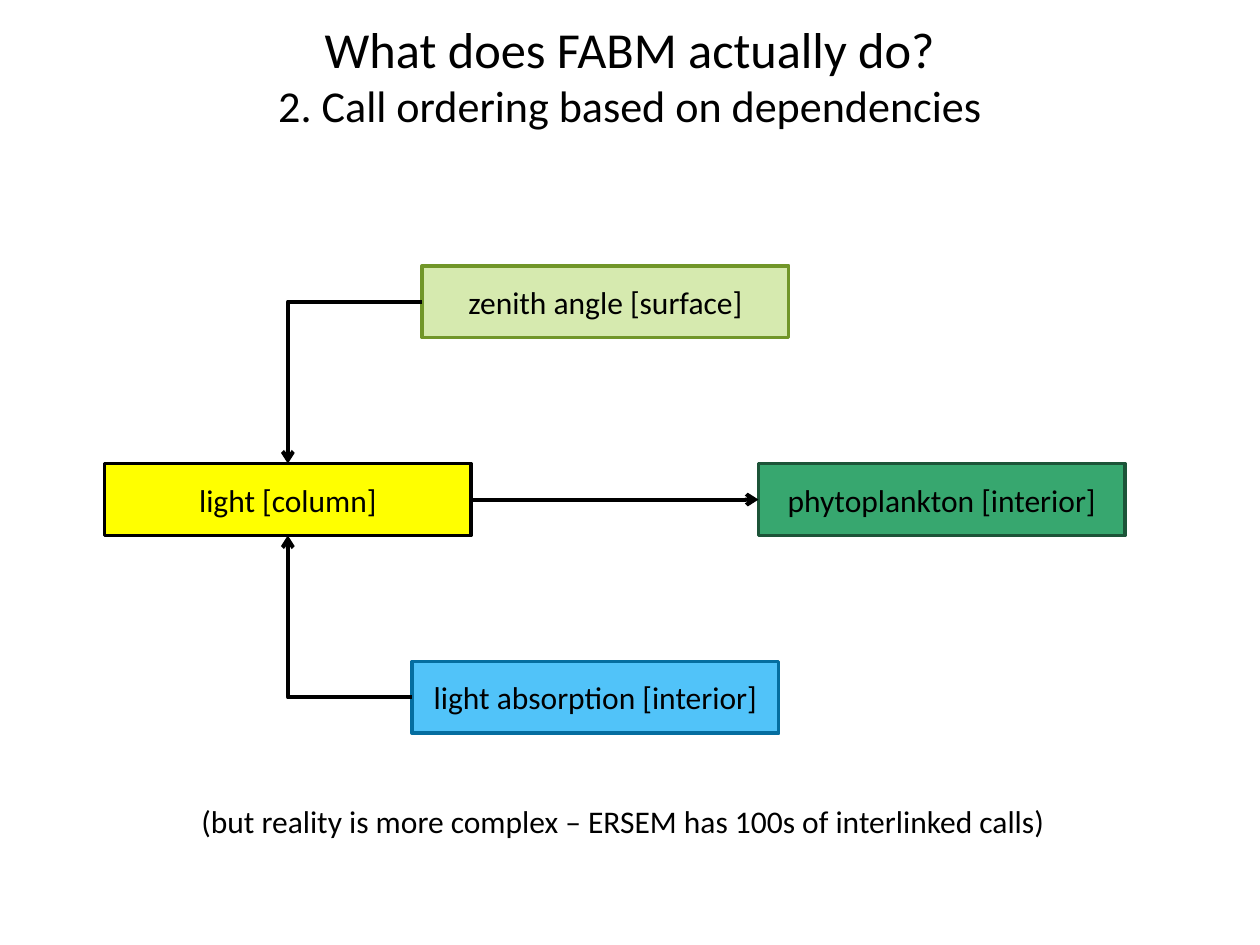
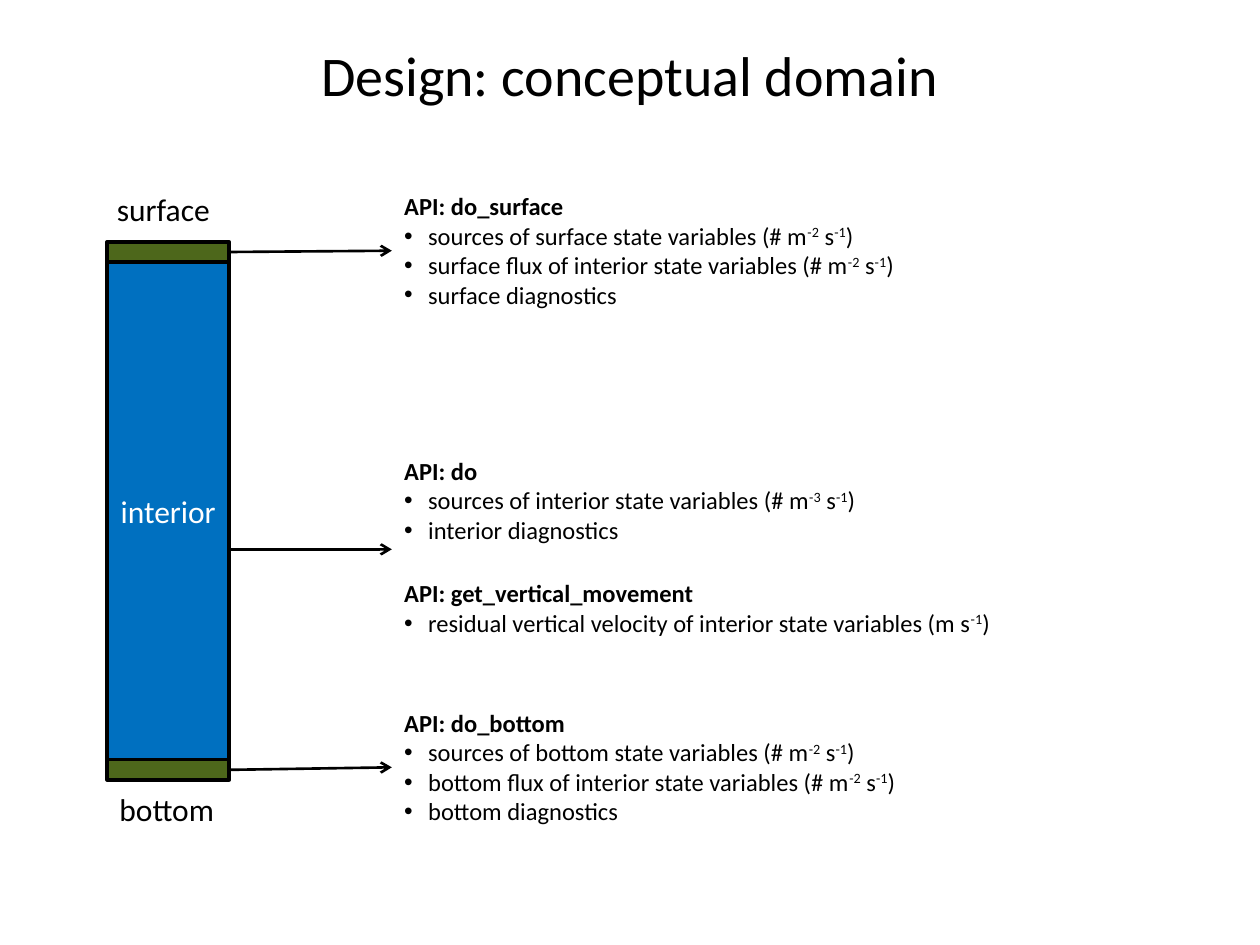
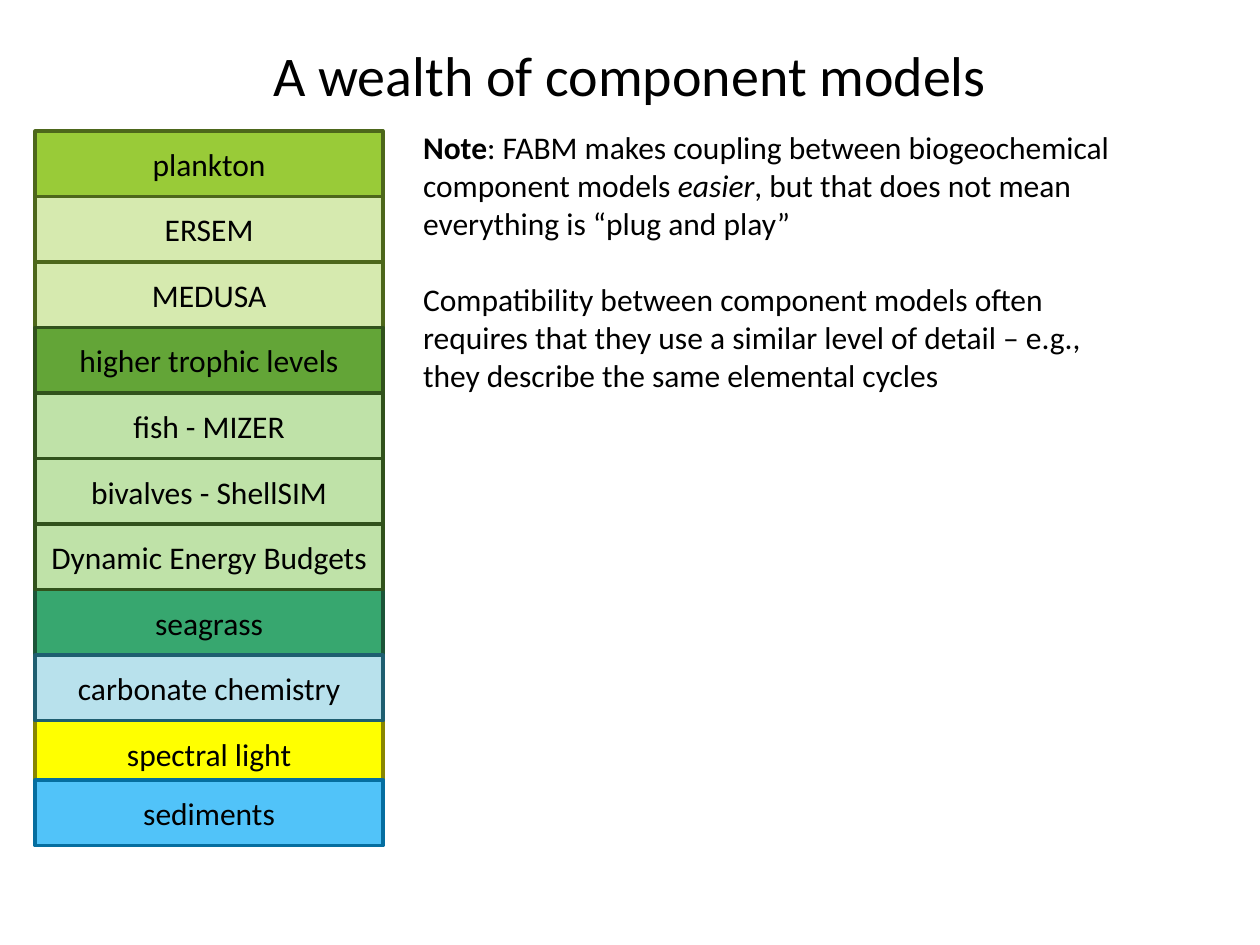
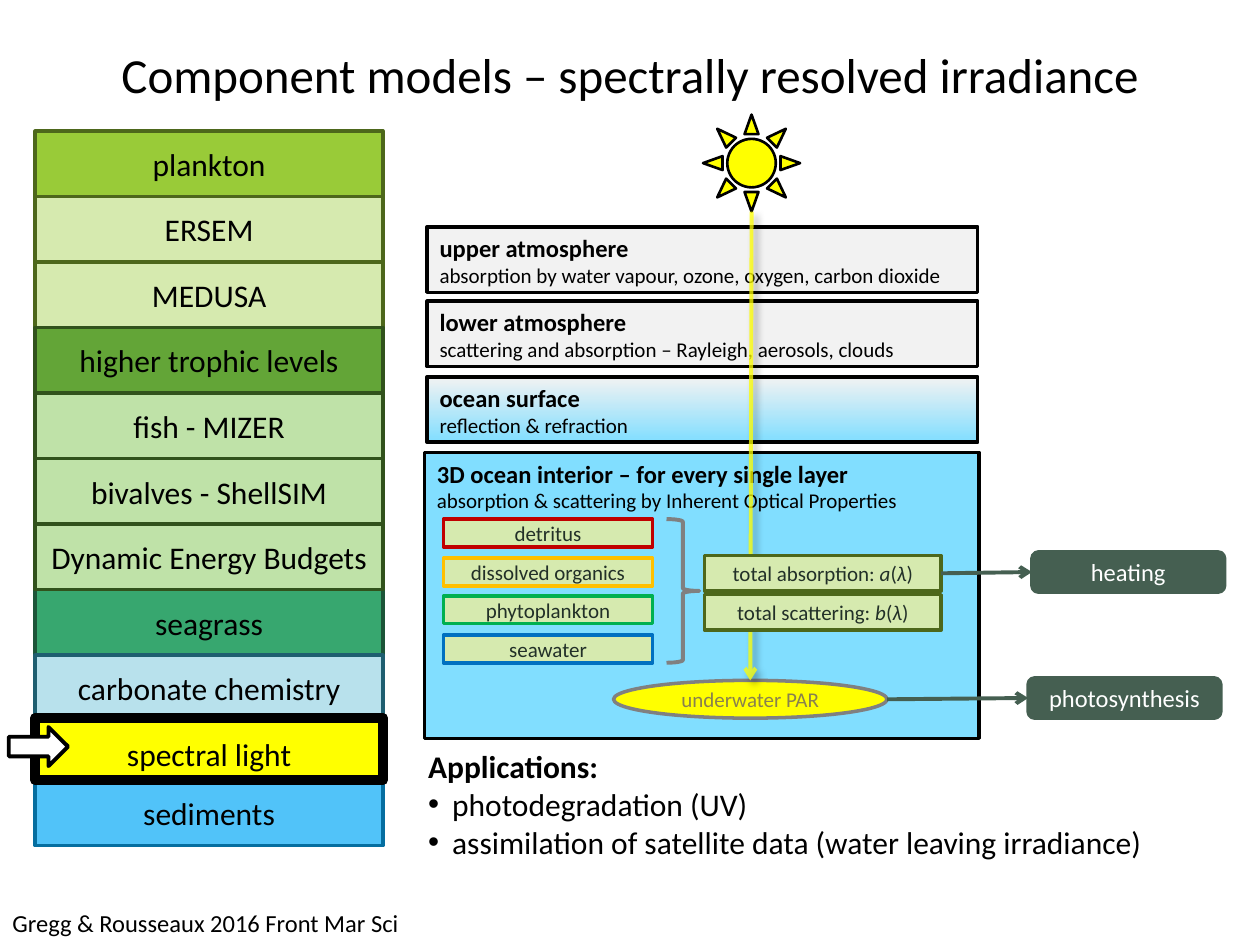
from collections import namedtuple

from lxml import etree
from pptx import Presentation
from pptx.dml.color import RGBColor
from pptx.enum.shapes import MSO_CONNECTOR, MSO_SHAPE
from pptx.enum.text import MSO_ANCHOR, MSO_AUTO_SIZE, PP_ALIGN
from pptx.oxml import parse_xml
from pptx.oxml.ns import nsdecls, qn
from pptx.util import Emu, Pt

PX = 9144  # EMU in one px: 100 px to the inch
FONT = "Calibri"
TITLE_ONLY = 5

RECT, OVAL, ROUND = MSO_SHAPE.RECTANGLE, MSO_SHAPE.OVAL, MSO_SHAPE.ROUNDED_RECTANGLE
SUN, BRACE, ARROW = MSO_SHAPE.SUN, MSO_SHAPE.RIGHT_BRACE, MSO_SHAPE.RIGHT_ARROW
STRAIGHT, ELBOW = MSO_CONNECTOR.STRAIGHT, MSO_CONNECTOR.ELBOW
LEFT, CENTER = PP_ALIGN.LEFT, PP_ALIGN.CENTER
ANCHOR_TOP, ANCHOR_MIDDLE = MSO_ANCHOR.TOP, MSO_ANCHOR.MIDDLE
SIDE_TOP, SIDE_LEFT, SIDE_BOTTOM, SIDE_RIGHT = range(4)

COLORS = {
    "black": "000000", "white": "FFFFFF", "gray": "808080", "pale gray": "F2F2F2",
    "ink": "223028", "olive text": "89814E", "slate": "455F51",
    "lime": "99CB38", "pale lime": "D6EAAF", "mid lime": "719629", "dark lime": "4D671B",
    "green": "63A537", "pale green": "BFE2A8", "dark green": "31521C",
    "sea green": "37A76F", "dark sea green": "1C5438",
    "pale teal": "B8E1EC", "dark teal": "1E5E70",
    "yellow": "FFFF00", "dark yellow": "898600",
    "sky": "51C3F9", "dark sky": "056EA0", "water": "81DEFF", "blue": "0070C0",
    "red": "C00000", "amber": "FFC000", "bright green": "00B050",
}

# Rows of the model list in drawing order: label, row, fill, line
MODELS = [
    ("plankton", 0, "lime", "dark lime"),
    ("ERSEM", 1, "pale lime", "dark lime"),
    ("MEDUSA", 2, "pale lime", "dark lime"),
    ("higher trophic levels", 3, "green", "dark green"),
    ("spectral light", 9, "yellow", "dark yellow"),
    ("sediments", 10, "sky", "dark sky"),
    ("seagrass", 7, "sea green", "dark sea green"),
    ("fish - MIZER", 4, "pale green", "dark green"),
    ("bivalves - ShellSIM", 5, "pale green", "dark green"),
    ("carbonate chemistry", 8, "pale teal", "dark teal"),
    ("Dynamic Energy Budgets", 6, "pale green", "dark green"),
]
ROW_HEIGHT = 52
LAST_ROW_OVERLAP = 5


class Box(namedtuple("Box", "left top width height")):
    """A rectangle in px."""

    def inner(self, x, y, width, height):
        return Box(self.left + x, self.top + y, width, height)

    def emu(self):
        return [Emu(value * PX) for value in self]


MODEL_LIST = Box(28, 104, 276, 567)


# ---------- text ----------

SUPER = {"super": True}
ITALIC = {"italic": True}


def rgb(name):
    return RGBColor.from_string(COLORS[name])


def para(*runs, **options):
    """A paragraph: runs are strings or (string, format) pairs."""
    return runs, options


def bullet(*runs):
    return para(*runs, bullet=True)


def rate(text, power):
    """A bullet that ends in a unit per area or volume and second."""
    return bullet(f"{text} (# m", (power, SUPER), " s", ("-1", SUPER), ")")


def add_bullet(paragraph):
    properties = paragraph._p.get_or_add_pPr()
    properties.set("marL", str(19 * PX))
    properties.set("indent", str(-19 * PX))
    etree.SubElement(properties, qn("a:buFont")).set("typeface", "Arial")
    etree.SubElement(properties, qn("a:buChar")).set("char", "•")


def write(shape, paragraphs, size=18, color="black", align=LEFT,
          anchor=ANCHOR_TOP, wrap=True, grow=False):
    if isinstance(paragraphs, str):
        paragraphs = [para(paragraphs)]
    frame = shape.text_frame
    frame.word_wrap = wrap
    frame.auto_size = MSO_AUTO_SIZE.SHAPE_TO_FIT_TEXT if grow else MSO_AUTO_SIZE.NONE
    frame.vertical_anchor = anchor
    for index, (runs, options) in enumerate(paragraphs):
        paragraph = frame.add_paragraph() if index else frame.paragraphs[0]
        paragraph.alignment = align
        if "before" in options:
            paragraph.space_before = Pt(options["before"])
        if options.get("bullet"):
            add_bullet(paragraph)
        for item in runs:
            text, extra = (item, {}) if isinstance(item, str) else item
            look = {**options, **extra}
            if look.get("new_line"):
                paragraph.add_line_break()
            run = paragraph.add_run()
            run.text = text
            font = run.font
            font.name = FONT
            font.size = Pt(look.get("size", size))
            font.bold = look.get("bold", False)
            font.italic = look.get("italic", False)
            font.color.rgb = rgb(color)
            if look.get("super"):
                run._r.get_or_add_rPr().set("baseline", "30000")


def add_text(slide, box, paragraphs, **options):
    shape = slide.shapes.add_textbox(*box.emu())
    write(shape, paragraphs, **options)
    return shape


# ---------- shapes and arrows ----------

def add_shape(shapes, kind, box, fill=None, line="black", width=2):
    shape = shapes.add_shape(kind, *box.emu())
    shape.shadow.inherit = False
    if fill:
        shape.fill.solid()
        shape.fill.fore_color.rgb = rgb(fill)
    else:
        shape.fill.background()
    shape.line.color.rgb = rgb(line)
    shape.line.width = Pt(width)
    return shape


def add_label(shapes, box, text, fill, line, kind=RECT, **options):
    shape = add_shape(shapes, kind, box, fill, line)
    write(shape, text, **{"align": CENTER, "anchor": ANCHOR_MIDDLE, **options})
    return shape


def side_point(shape, side):
    x = {SIDE_LEFT: 0, SIDE_RIGHT: shape.width}.get(side, shape.width // 2)
    y = {SIDE_TOP: 0, SIDE_BOTTOM: shape.height}.get(side, shape.height // 2)
    return shape.left + x, shape.top + y


def add_arrow(slide, begin, end, color="black", width=2.25, kind=STRAIGHT, begin_joined=True):
    """An arrow between two (shape, side) pairs; an unjoined begin is a point in EMU."""
    begin_point = side_point(*begin) if begin_joined else begin
    connector = slide.shapes.add_connector(kind, *begin_point, *side_point(*end))
    if begin_joined:
        connector.begin_connect(*begin)
    connector.end_connect(*end)
    connector.line.color.rgb = rgb(color)
    connector.line.width = Pt(width)
    properties = connector._element.spPr
    if kind == ELBOW:  # one corner only
        properties.find(qn("a:prstGeom")).set("prst", "bentConnector2")
    etree.SubElement(properties.find(qn("a:ln")), qn("a:tailEnd")).set("type", "arrow")
    etree.SubElement(properties, qn("a:effectLst"))
    return connector


def make_light_beam(connector):
    """Slightly clear line with a soft shadow."""
    properties = connector._element.spPr
    color = properties.find(".//" + qn("a:srgbClr"))
    etree.SubElement(color, qn("a:alpha")).set("val", "75000")
    properties.find(qn("a:effectLst")).append(parse_xml(
        f'<a:outerShdw {nsdecls("a")} blurRad="50800" dist="38100" dir="2700000" algn="tl" '
        'rotWithShape="0"><a:srgbClr val="000000"><a:alpha val="40000"/></a:srgbClr>'
        '</a:outerShdw>'))


# ---------- regions shared by slides ----------

def add_titled_slide(presentation, *runs, size=32):
    slide = presentation.slides.add_slide(presentation.slide_layouts[TITLE_ONLY])
    title = slide.shapes.title
    title.left, title.top, title.width, title.height = Box(50, 27, 900, 64).emu()
    write(title, [para(*runs)], size=size, align=CENTER, anchor=ANCHOR_MIDDLE)
    return slide


def add_model_list(shapes, box):
    for label, row, fill, line in MODELS:
        top = row * ROW_HEIGHT - (LAST_ROW_OVERLAP if row == 10 else 0)
        add_label(shapes, box.inner(0, top, box.width, ROW_HEIGHT), label, fill, line)


# ---------- slide 1: call ordering ----------

def add_call_graph(slide, box):
    def call(x, y, text, fill, line):
        return add_label(slide.shapes, box.inner(x, y, 291, 57), text, fill, line)

    absorption = call(244, 314, "light absorption [interior]", "sky", "dark sky")
    zenith = call(252, 0, "zenith angle [surface]", "pale lime", "mid lime")
    light = call(0, 157, "light [column]", "yellow", "black")
    phytoplankton = call(519, 157, "phytoplankton [interior]", "sea green", "dark sea green")
    add_arrow(slide, (absorption, SIDE_LEFT), (light, SIDE_BOTTOM), kind=ELBOW)
    add_arrow(slide, (zenith, SIDE_LEFT), (light, SIDE_TOP), kind=ELBOW)
    add_arrow(slide, (light, SIDE_RIGHT), (phytoplankton, SIDE_LEFT))


def build_call_ordering(presentation):
    slide = add_titled_slide(
        presentation, "What does FABM actually do?",
        ("2. Call ordering based on dependencies", {"size": 25.2, "new_line": True}), size=28.8)
    add_call_graph(slide, Box(83, 211, 810, 371))
    add_text(slide, Box(150, 632, 700, 40),
             "(but reality is more complex – ERSEM has 100s of interlinked calls)",
             wrap=False, grow=True)


# ---------- slide 2: conceptual domain ----------

def add_water_column(slide, box):
    """Draws the column and returns its surface and bottom bands."""
    band = 16
    interior = box.inner(0, band, box.width, box.height - 2 * band)
    add_label(slide.shapes, interior, "interior", "blue", "black", color="white")
    surface, bottom = (
        add_shape(slide.shapes, RECT, box.inner(0, y, box.width, band), "dark lime")
        for y in (0, box.height - band))
    add_text(slide, box.inner(-2, -46, 103, 40), "surface", wrap=False, grow=True)
    add_text(slide, box.inner(0, 430, 97, 44), "bottom", wrap=False)
    return surface, bottom


def add_api_notes(slide, box):
    """Writes the notes and returns their boxes from top to bottom."""
    def boundary(y, name):
        return add_text(slide, box.inner(0, y, 416, 104), [
            para(f"API: do_{name}", bold=True),
            rate(f"sources of {name} state variables", "-2"),
            rate(f"{name} flux of interior state variables", "-2"),
            bullet(f"{name} diagnostics"),
        ], size=14, wrap=False, grow=True)

    surface = boundary(0, "surface")
    interior = add_text(slide, box.inner(0, 210, box.width, 158), [
        para("API: do", bold=True),
        rate("sources of interior state variables", "-3"),
        bullet("interior diagnostics"),
        para("API: get_vertical_movement", bold=True, before=19.5),
        bullet("residual vertical velocity of interior state variables (m s", ("-1", SUPER), ")"),
    ], size=14, grow=True)
    return surface, interior, boundary(410, "bottom")


def build_conceptual_domain(presentation):
    slide = add_titled_slide(presentation, "Design: conceptual domain")
    surface, bottom = add_water_column(slide, Box(85, 192, 97, 427))
    surface_note, interior_note, bottom_note = add_api_notes(slide, Box(311, 147, 606, 514))
    for band, note in ((surface, surface_note), (bottom, bottom_note)):
        add_arrow(slide, (band, SIDE_RIGHT), (note, SIDE_LEFT), width=1.5)
    note_middle = side_point(interior_note, SIDE_LEFT)[1]
    add_arrow(slide, (surface.left + surface.width, note_middle), (interior_note, SIDE_LEFT),
              width=1.5, begin_joined=False)


# ---------- slide 3: component models ----------

def build_component_models(presentation):
    slide = add_titled_slide(presentation, "A wealth of component models")
    add_model_list(slide.shapes.add_group_shape().shapes, MODEL_LIST)
    add_text(slide, Box(326, 97, 583, 222), [
        para(("Note", {"bold": True}),
             ": FABM makes coupling between biogeochemical component models ",
             ("easier", ITALIC), ", but that does not mean everything is “plug and play”"),
        para("Compatibility between component models often requires that they use a similar "
             "level of detail – e.g., they describe the same elemental cycles", before=22),
    ], grow=True)


# ---------- slide 4: spectral irradiance ----------

def add_list_marker(slide, box):
    add_shape(slide.shapes, RECT, box.inner(0, 466, box.width, 49), width=6)
    add_shape(slide.shapes, ARROW, box.inner(-21, 473, 47, 31), "white", width=2.25)


def add_layer(slide, box, name, process, fill):
    return add_label(slide.shapes, box, [para(name, bold=True, size=14), para(process)],
                     fill, "black", size=12, align=LEFT, anchor=ANCHOR_TOP)


def add_layers(slide, box):
    add_layer(slide, box.inner(0, 179, 440, 227), "3D ocean interior – for every single layer",
              "absorption & scattering by Inherent Optical Properties", "water")
    layers = [
        add_layer(slide, box.inner(2, index * 119 // 2, 437, 52), name, process, "pale gray")
        for index, (name, process) in enumerate([
            ("upper atmosphere", "absorption by water vapour, ozone, oxygen, carbon dioxide"),
            ("lower atmosphere", "scattering and absorption – Rayleigh, aerosols, clouds"),
            ("ocean surface", "reflection & refraction")])]
    fill = layers[-1].fill
    fill.gradient()
    fill.gradient_angle = 270
    for stop, color in zip(fill.gradient_stops, ("pale gray", "water")):
        stop.color.rgb = rgb(color)


def add_optics(slide, box):
    """Constituents, their totals, the light beam and the processes it drives."""
    small = {"size": 12, "color": "ink"}
    constituents = [("detritus", "red"), ("dissolved organics", "amber"),
                    ("phytoplankton", "bright green"), ("seawater", "blue")]
    for index, (name, line) in enumerate(constituents):
        add_label(slide.shapes, box.inner(15, 232 + round(index * 92 / 3), 166, 22),
                  name, "pale lime", line, **small)
    add_shape(slide.shapes, BRACE, box.inner(192, 232, 26, 114), line="gray", width=2.25)

    sun = add_shape(slide.shapes, SUN, box.inner(221, -89, 77, 77), "yellow", width=1.5)
    underwater = add_label(slide.shapes, box.inner(150, 360, 217, 30), "underwater PAR",
                           "yellow", "gray", OVAL, size=12, color="olive text", wrap=False)
    make_light_beam(add_arrow(slide, (sun, SIDE_BOTTOM), (underwater, SIDE_TOP), "yellow"))

    totals = slide.shapes.add_group_shape().shapes
    absorption, _ = (
        add_label(totals, box.inner(222, y, 188, 28),
                  [para(f"total {name}: ", (symbol, ITALIC), "(", ("λ", ITALIC), ")")],
                  "pale lime", "dark lime", **small)
        for y, name, symbol in ((261, "absorption", "a"), (292, "scattering", "b")))

    photosynthesis, heating = (
        add_label(slide.shapes, box.inner(x, y, 153, 32), name, "slate", "slate", ROUND,
                  size=14, color="white")
        for x, y, name in ((479, 358, "photosynthesis"), (482, 258, "heating")))
    add_arrow(slide, (absorption, SIDE_RIGHT), (heating, SIDE_LEFT), "slate")
    add_arrow(slide, side_point(underwater, SIDE_RIGHT), (photosynthesis, SIDE_LEFT), "slate",
              begin_joined=False)


def build_spectral_irradiance(presentation):
    slide = add_titled_slide(
        presentation, "Component models – spectrally resolved irradiance", size=28)
    add_model_list(slide.shapes, MODEL_LIST)
    add_list_marker(slide, MODEL_LIST)
    diagram = Box(337, 180, 635, 406)
    add_layers(slide, diagram)
    add_optics(slide, diagram)
    add_text(slide, Box(330, 588, 593, 101), [
        para("Applications:", bold=True),
        bullet("photodegradation (UV)"),
        bullet("assimilation of satellite data (water leaving irradiance)"),
    ], wrap=False, grow=True)
    add_text(slide, Box(0, 716, 330, 34), "Gregg & Rousseaux 2016 Front Mar Sci",
             size=14, wrap=False, grow=True)


def main():
    presentation = Presentation()
    presentation.slide_width, presentation.slide_height = Emu(1000 * PX), Emu(750 * PX)
    build_call_ordering(presentation)
    build_conceptual_domain(presentation)
    build_component_models(presentation)
    build_spectral_irradiance(presentation)
    presentation.save("out.pptx")


if __name__ == "__main__":
    main()
